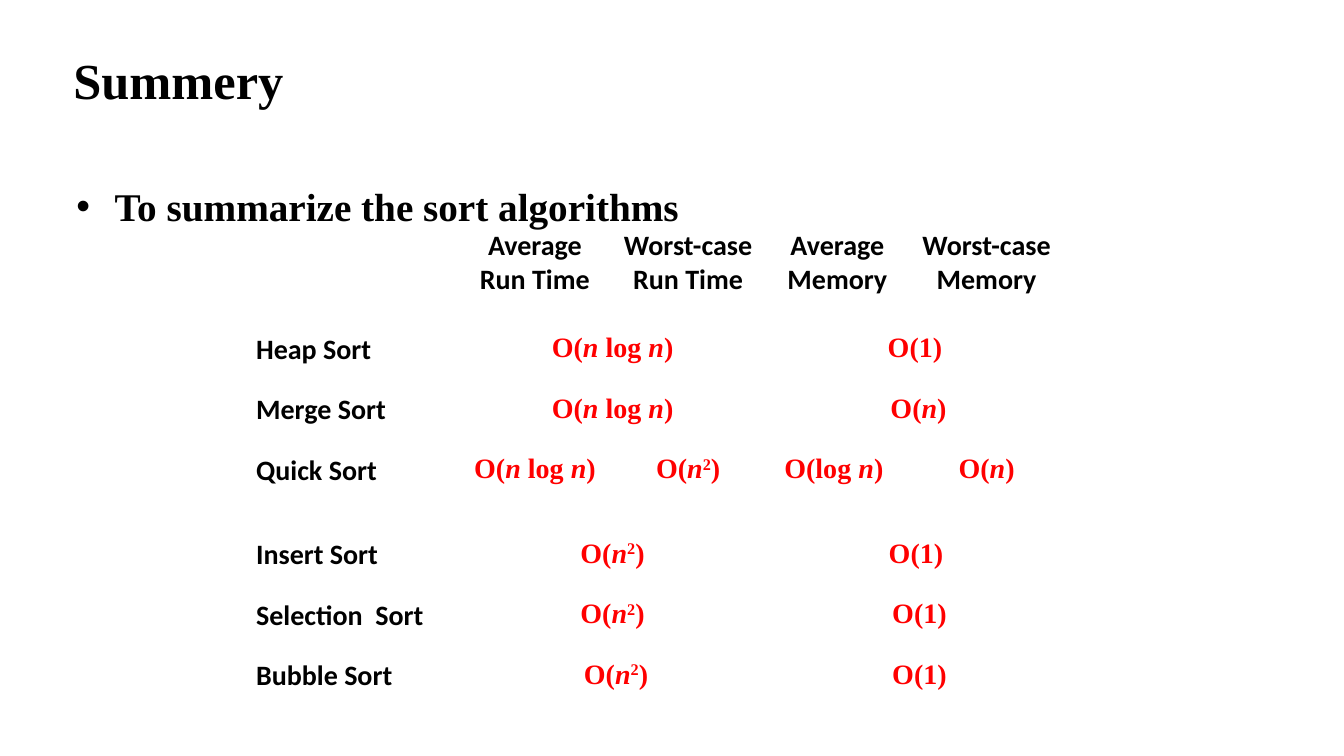
from pptx import Presentation
from pptx import util as u
from pptx.dml.color import RGBColor
from pptx.enum import text as t
from lxml import etree

BLACK = RGBColor(0, 0, 0)
RED = RGBColor(255, 0, 0)
WHITE = RGBColor(255, 255, 255)
SERIF = "Times New Roman"
SANS = "Calibri"
PLAIN_TABLE_STYLE = "{2D5ABB26-0587-4C30-8999-92F81FD0307C}"

N_LOG_N = "O(|n| log |n|) "
SQUARED = "O(|n|2|)"
LINEAR = "O(|n|)"
HEADERS = ["", "Average\nRun Time", "Worst-case\nRun Time", "Average\nMemory", "Worst-case\nMemory"]
FAST_SORTS = [
    ["Heap Sort", N_LOG_N, None, "O(1) ", None],
    ["Merge Sort", N_LOG_N, None, LINEAR, None],
    ["Quick Sort", N_LOG_N, SQUARED, "O(log |n|) ", LINEAR],
]
SLOW_SORTS = [
    ["Insert Sort", SQUARED + " ", "O(1) "],
    ["Selection  Sort", SQUARED + " ", "O(1)"],
    ["Bubble Sort", SQUARED, "O(1)"],
]


def write_text(frame, content, size=20, font=SANS, color=BLACK,
               align=t.PP_ALIGN.LEFT, spacing=None, bullet=None):
    for index, line in enumerate(content.split("\n")):
        paragraph = frame.add_paragraph() if index else frame.paragraphs[0]
        paragraph.alignment = align
        if spacing:
            paragraph.line_spacing = spacing
        if bullet:
            properties = paragraph._p.get_or_add_pPr()
            properties.set("marL", str(u.Inches(0.41)))
            properties.set("indent", str(-u.Inches(0.38)))
            namespace = properties.nsmap["a"]
            etree.SubElement(properties, f"{{{namespace}}}buFont", typeface="Arial")
            etree.SubElement(properties, f"{{{namespace}}}buChar", char=bullet)
        paragraph.font.size = u.Pt(size)
        for part in line.split("|"):
            run = paragraph.add_run()
            run.text = part
            run.font.size = u.Pt(size)
            run.font.name = font
            run.font.bold = True
            run.font.italic = part == "n"
            run.font.color.rgb = color
            if part == "2":
                run.font._element.set("baseline", "30000")


def add_text_box(slide, box, content, anchor=t.MSO_ANCHOR.TOP, **text_format):
    shape = slide.shapes.add_textbox(*map(u.Inches, box))
    shape.text_frame.word_wrap = True
    shape.text_frame.vertical_anchor = anchor
    write_text(shape.text_frame, content, font=SERIF, **text_format)


def set_borders(cell, color):
    properties = cell._tc.get_or_add_tcPr()
    namespace = cell._tc.nsmap["a"]
    for index, side in enumerate("LRTB"):
        line = etree.Element(f"{{{namespace}}}ln{side}", w=str(u.Pt(1)))
        if color is None:
            etree.SubElement(line, f"{{{namespace}}}noFill")
        else:
            fill = etree.SubElement(line, f"{{{namespace}}}solidFill")
            etree.SubElement(fill, f"{{{namespace}}}srgbClr", val=str(color))
        properties.insert(index, line)


def add_sort_table(slide, box, rows, widths, heights, has_header=False, border=None):
    shape = slide.shapes.add_table(len(rows), len(widths), *map(u.Inches, box))
    table = shape.table
    table.first_row = False
    table.horz_banding = False
    table._tbl.tblPr[0].text = PLAIN_TABLE_STYLE
    for column, width in zip(table.columns, widths):
        column.width = u.Inches(width)
    for row, height in zip(table.rows, heights):
        row.height = u.Inches(height)
    for row_index, row in enumerate(rows):
        for column_index, content in enumerate(row):
            cell = table.cell(row_index, column_index)
            cell.fill.background()
            set_borders(cell, border)
            if content is None:
                table.cell(row_index, column_index - 1).merge(cell)
            elif column_index == 0:
                write_text(cell.text_frame, content)
            elif has_header and row_index == 0:
                write_text(cell.text_frame, content, align=t.PP_ALIGN.CENTER)
            else:
                write_text(cell.text_frame, content, font=SERIF, color=RED,
                           align=t.PP_ALIGN.CENTER)


def build_summary(slide):
    add_text_box(slide, (0.63, 0.41, 12.25, 0.75), "Summery",
                 anchor=t.MSO_ANCHOR.MIDDLE, size=36)
    add_text_box(slide, (0.63, 1.57, 12.07, 5.51), "To summarize the sort algorithms",
                 size=28, align=t.PP_ALIGN.JUSTIFY, spacing=1.4, bullet="•")
    add_sort_table(slide, (2.44, 2.22, 8.16, 2.83), [HEADERS] + FAST_SORTS,
                   [2.15, 1.43, 1.61, 1.35, 1.61], [1.03] + [0.6] * 3, has_header=True)
    add_sort_table(slide, (2.44, 5.29, 8.16, 1.8), SLOW_SORTS,
                   [2.14, 3.06, 2.96], [0.6] * 3, border=WHITE)


def main():
    presentation = Presentation()
    presentation.slide_width = u.Inches(13.33)
    presentation.slide_height = u.Inches(7.5)
    build_summary(presentation.slides.add_slide(presentation.slide_layouts[6]))
    presentation.save("out.pptx")


if __name__ == "__main__":
    main()
